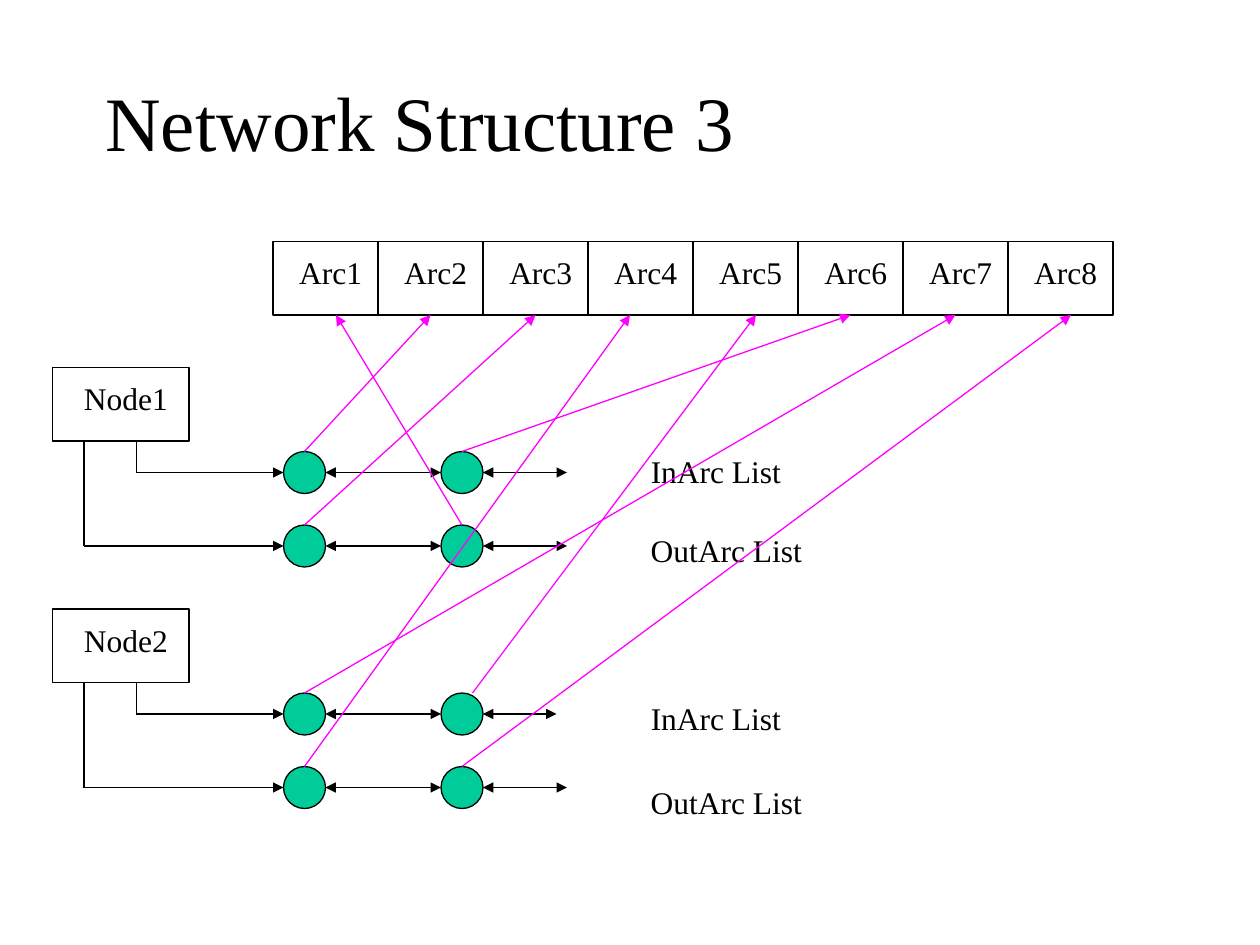
from pptx import Presentation
from pptx.dml.color import RGBColor as RGB
from pptx.enum.shapes import MSO_CONNECTOR as Link, MSO_SHAPE as Kind
from pptx.enum.text import MSO_ANCHOR as Anchor, PP_ALIGN as Align
from pptx.oxml.ns import qn
from pptx.util import Pt
from lxml.etree import SubElement as Sub

PX = 7620
HUES = {"ink": "000000", "ball": "00CC99", "ref": "FF00FF"}

deck = Presentation()
deck.slide_width, deck.slide_height = 1200 * PX, 900 * PX
slide = deck.slides.add_slide(deck.slide_layouts[6])
shapes = slide.shapes


def write(shape, text, size=18):
    para = shape.text_frame.paragraphs[0]
    para.text = text
    para.alignment = Align.LEFT
    para.font.name = "Times New Roman"
    para.font.size = Pt(size)
    para.font.color.rgb = RGB.from_string(HUES["ink"])
    return para


def draw(x1, y1, x2, y2, ends=(), hue="ink"):
    line = shapes.add_connector(Link.STRAIGHT, x1 * PX, y1 * PX, x2 * PX, y2 * PX)
    line.line.color.rgb = RGB.from_string(HUES[hue])
    line.line.width = Pt(0.75)
    for end in ends:
        Sub(line.line._get_or_add_ln(), qn(f"a:{end}")).set("type", "triangle")
    Sub(line._element.spPr, qn("a:effectLst"))
    return line


title = shapes.add_textbox(70 * PX, 70 * PX, 660 * PX, 90 * PX)
title.text_frame.word_wrap = True
title.text_frame.vertical_anchor = Anchor.MIDDLE
write(title, "Network Structure 3", 44).alignment = Align.CENTER

boxes = [(f"Arc{i + 1}", 260 + 100 * i, 230, 100, 25) for i in range(8)]
boxes += [("Node1", 50, 350, 130, 30), ("Node2", 50, 580, 130, 30)]
arcs = []
for name, x, y, wide, inset in boxes:
    box = shapes.add_shape(Kind.RECTANGLE, x * PX, y * PX, wide * PX, 70 * PX)
    box.shadow.inherit = False
    box.fill.background()
    box.line.color.rgb = RGB.from_string(HUES["ink"])
    box.line.width = Pt(0.75)
    frame = box.text_frame
    frame.word_wrap = True
    frame.vertical_anchor = Anchor.TOP
    frame.margin_left, frame.margin_right = inset * PX, 0
    frame.margin_top = 11 * PX
    write(box, name)
    arcs.append(box)

rows = [
    (420, 130, 450, 540, "InArc List", 425, 148),
    (420, 80, 520, 540, "OutArc List", 500, 168),
    (650, 130, 680, 530, "InArc List", 660, 148),
    (650, 80, 750, 540, "OutArc List", 740, 168),
]
balls = {}
for top, x, y, stop, label, high, wide in rows:
    draw(x, top, x, y)
    draw(x, y, 270, y, ["tailEnd"])
    for left in (270, 420):
        ball = shapes.add_shape(Kind.OVAL, left * PX, (y - 20) * PX, 40 * PX, 40 * PX)
        ball.shadow.inherit = False
        ball.fill.solid()
        ball.fill.fore_color.rgb = RGB.from_string(HUES["ball"])
        ball.line.color.rgb = RGB.from_string(HUES["ink"])
        ball.line.width = Pt(0.75)
        balls[left + 20, y - 20] = ball
    draw(310, y, 420, y, ["headEnd", "tailEnd"])
    draw(460, y, stop, y, ["headEnd", "tailEnd"])
    note = shapes.add_textbox(608 * PX, high * PX, wide * PX, 48 * PX)
    note.text_frame.word_wrap = False
    write(note, label)

refs = [
    (290, 430, 410, 2), (440, 430, 810, 6),
    (440, 500, 320, 1), (290, 500, 510, 3),
    (290, 660, 910, 7), (450, 660, 720, 5),
    (290, 730, 600, 4), (440, 730, 1020, 8),
]
for x, y, goal, arc in refs:
    ref = draw(x, y, goal, 300, ["tailEnd"], "ref")
    if (x, y) in balls:
        ref.begin_connect(balls[x, y], 0)
    if goal == 210 + 100 * arc:
        ref.end_connect(arcs[arc - 1], 2)

deck.save("out.pptx")
